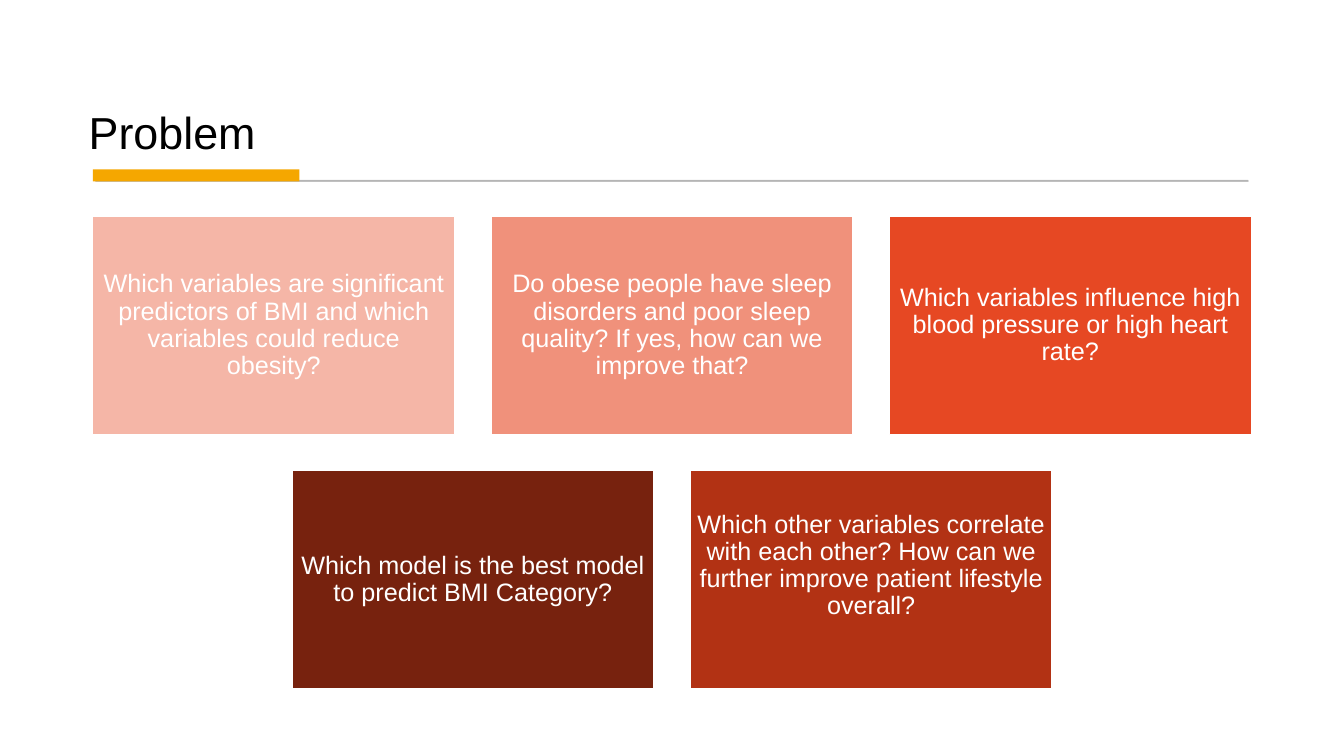
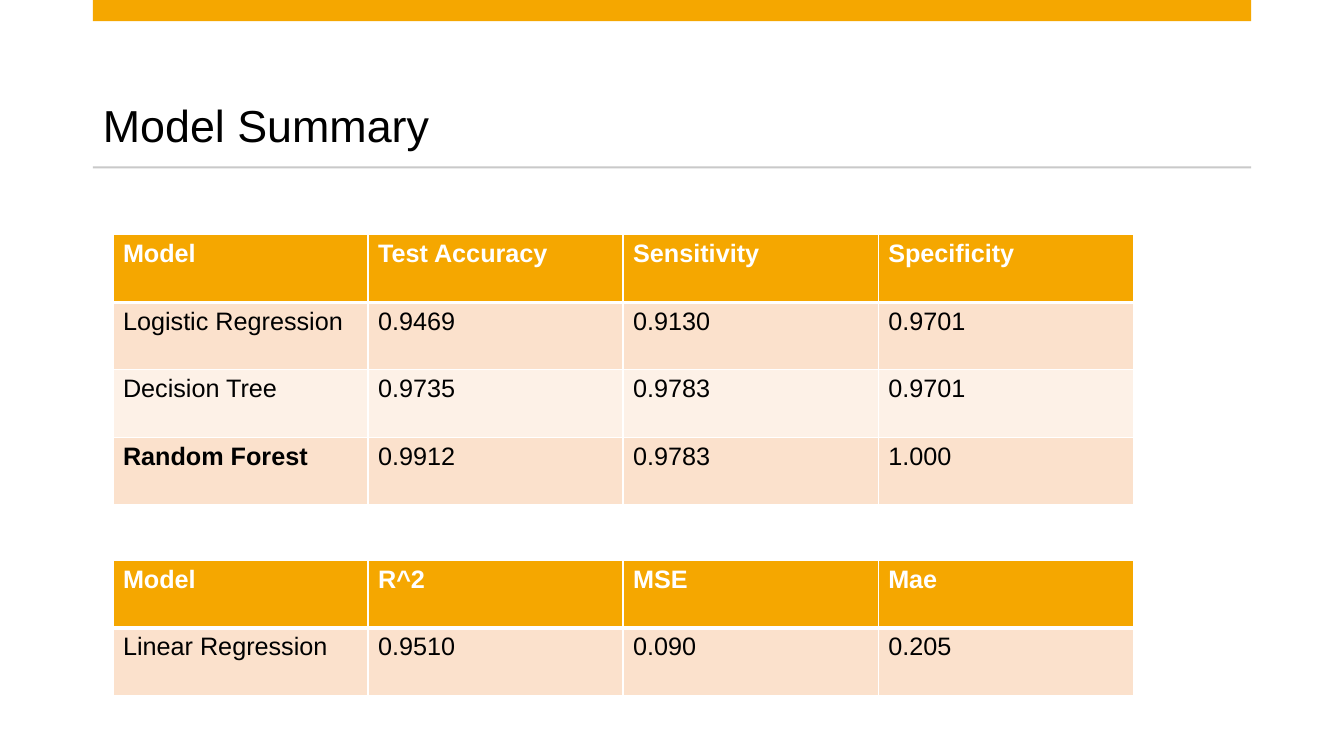
from dataclasses import dataclass

from lxml import etree
from pptx import Presentation
from pptx import util as u
from pptx.dml.color import RGBColor
from pptx.enum import shapes, text
from pptx.oxml.ns import qn


@dataclass(frozen=True)
class Theme:
    """Colours, type and common measures of the deck."""
    font: str = "Arial"
    title_size: int = 32
    text_size: int = 18
    dark: str = "000000"
    light: str = "FFFFFF"
    accent: str = "F5A700"
    rule_dark: str = "595959"
    rule_light: str = "C9C9C9"
    bands: tuple = ("FBE1CC", "FDF1E7")
    cards: tuple = ("F5B6A7", "F0917B", "E64823", "77220E", "B23214")
    left: float = 0.92
    width: float = 11.49
    gap: float = 0.36
    inset: float = 0.07


THEME = Theme()
TITLE_ONLY = 5

QUESTIONS = [
    "Which variables are significant predictors of BMI and which variables could reduce\nobesity?",
    "Do obese people have sleep disorders and poor sleep quality? If yes, how can we improve that?",
    "Which variables influence high blood pressure or high heart rate?",
    "Which model is the best model to predict BMI Category?",
    "Which other variables correlate with each other? "
    "How can we further improve patient lifestyle overall?",
]
CLASSIFIERS = [
    ("Model", "Test Accuracy", "Sensitivity", "Specificity"),
    ("Logistic Regression", "0.9469", "0.9130", "0.9701"),
    ("Decision Tree", "0.9735", "0.9783", "0.9701"),
    ("Random Forest", "0.9912", "0.9783", "1.000"),
]
REGRESSION = [
    ("Model", "R^2", "MSE", "Mae"),
    ("Linear Regression", "0.9510", "0.090", "0.205"),
]
BEST_MODEL = "Random Forest"


def inches(box):
    """Turn a box in inches into lengths."""
    return [u.Inches(value) for value in box]


def add_words(paragraph, words, size, color, bold=False):
    """Add one run per line of words, with line breaks between."""
    for number, line in enumerate(words.split("\n")):
        if number:
            paragraph.add_line_break()
        run = paragraph.add_run()
        run.text = line
        run.font.name = THEME.font
        run.font.size = u.Pt(size)
        run.font.bold = bold
        run.font.color.rgb = RGBColor.from_string(color)


def set_opacity(fill_parent, percent):
    """Make every solid colour below an element partly transparent."""
    for color in fill_parent.iter(qn("a:srgbClr")):
        etree.SubElement(color, qn("a:alpha")).set("val", str(percent * 1000))


def add_block(slide, box, fill, outline=None, outline_width=1):
    """Add a flat rectangle with an optional outline."""
    block = slide.shapes.add_shape(shapes.MSO_SHAPE.RECTANGLE, *inches(box))
    block.shadow.inherit = False
    block.fill.solid()
    block.fill.fore_color.rgb = RGBColor.from_string(fill)
    if outline:
        block.line.color.rgb = RGBColor.from_string(outline)
        block.line.width = u.Pt(outline_width)
    else:
        block.line.fill.background()
    return block


def add_titled_slide(presentation, title, box, anchor):
    """Add a slide whose title placeholder fills the given box."""
    slide = presentation.slides.add_slide(presentation.slide_layouts[TITLE_ONLY])
    holder = slide.shapes.title
    holder.left, holder.top, holder.width, holder.height = inches(box)
    frame = holder.text_frame
    frame.auto_size = text.MSO_AUTO_SIZE.NONE
    frame.word_wrap = True
    frame.vertical_anchor = anchor
    paragraph = frame.paragraphs[0]
    paragraph.alignment = text.PP_ALIGN.LEFT
    paragraph.line_spacing = 0.9
    add_words(paragraph, title, THEME.title_size, THEME.dark)
    return slide


def add_card(slide, box, words, fill, lift=0):
    """Add a coloured card with centred words, raised by a bottom lift."""
    card = add_block(slide, box, fill, THEME.light)
    frame = card.text_frame
    frame.word_wrap = True
    frame.vertical_anchor = text.MSO_ANCHOR.MIDDLE
    frame.margin_left = frame.margin_right = frame.margin_top = u.Inches(THEME.inset)
    frame.margin_bottom = u.Inches(THEME.inset + lift)
    paragraph = frame.paragraphs[0]
    paragraph.alignment = text.PP_ALIGN.CENTER
    paragraph.line_spacing = 0.9
    add_words(paragraph, words, THEME.text_size, THEME.light)


def add_card_grid(slide, box, questions, columns=3, rows=2):
    """Fill a box with cards, centring the row that is not full."""
    left, top, width, height = box
    card_width = (width - (columns - 1) * THEME.gap) / columns
    card_height = (height - (rows - 1) * THEME.gap) / rows
    for number, (question, fill) in enumerate(zip(questions, THEME.cards)):
        row, column = divmod(number, columns)
        in_row = min(columns, len(questions) - row * columns)
        indent = (columns - in_row) * (card_width + THEME.gap) / 2
        place = (left + indent + column * (card_width + THEME.gap),
                 top + row * (card_height + THEME.gap), card_width, card_height)
        is_last = number == len(questions) - 1
        add_card(slide, place, question, fill, lift=0.27 if is_last else 0)


def set_borders(cell, top, bottom):
    """Give a cell white borders, with top and bottom widths in points."""
    properties = cell._tc.get_or_add_tcPr()
    for side, width in (("L", 1), ("R", 1), ("T", top), ("B", bottom)):
        line = etree.SubElement(properties, qn(f"a:ln{side}"), w=str(u.Pt(width)))
        fill = etree.SubElement(line, qn("a:solidFill"))
        etree.SubElement(fill, qn("a:srgbClr"), val=THEME.light)


def add_score_table(slide, box, records):
    """Add a banded table with an accent header row."""
    table = slide.shapes.add_table(len(records), len(records[0]), *inches(box)).table
    table.horz_banding = False
    for row, record in enumerate(records):
        is_header = row == 0
        fill = THEME.accent if is_header else THEME.bands[(row - 1) % 2]
        color = THEME.light if is_header else THEME.dark
        for column, words in enumerate(record):
            cell = table.cell(row, column)
            set_borders(cell, top=3 if row == 1 else 1, bottom=3 if is_header else 1)
            cell.fill.solid()
            cell.fill.fore_color.rgb = RGBColor.from_string(fill)
            add_words(cell.text_frame.paragraphs[0], words, THEME.text_size, color,
                      bold=is_header or words == BEST_MODEL)


def build_problem(presentation):
    """Build the slide of research questions."""
    slide = add_titled_slide(presentation, "Problem", (0.78, 0.52, THEME.width, 1.11),
                             text.MSO_ANCHOR.BOTTOM)
    rule = add_block(slide, (0.95, 1.79, 11.43, 0.01), THEME.rule_dark, THEME.rule_dark, 0.75)
    set_opacity(rule._element.spPr, 30)
    add_block(slide, (THEME.left, 1.68, 2.05, 0.12), THEME.accent)
    add_card_grid(slide, (THEME.left, 2.15, THEME.width, 4.68), QUESTIONS)


def build_summary(presentation):
    """Build the slide of model scores."""
    slide = add_titled_slide(presentation, "Model Summary", (THEME.left, 0.68, THEME.width, 1.18),
                             text.MSO_ANCHOR.MIDDLE)
    add_block(slide, (THEME.left, 0, THEME.width, 0.21), THEME.accent)
    add_block(slide, (THEME.left, 1.65, THEME.width, 0.02), THEME.rule_light)
    row_height = 0.67
    for top, records in ((2.33, CLASSIFIERS), (5.56, REGRESSION)):
        add_score_table(slide, (1.12, top, 10.12, row_height * len(records)), records)


def main():
    """Build and save the deck."""
    presentation = Presentation()
    presentation.slide_width = u.Inches(13.33)
    presentation.slide_height = u.Inches(7.5)
    build_problem(presentation)
    build_summary(presentation)
    presentation.save("out.pptx")


if __name__ == "__main__":
    main()
